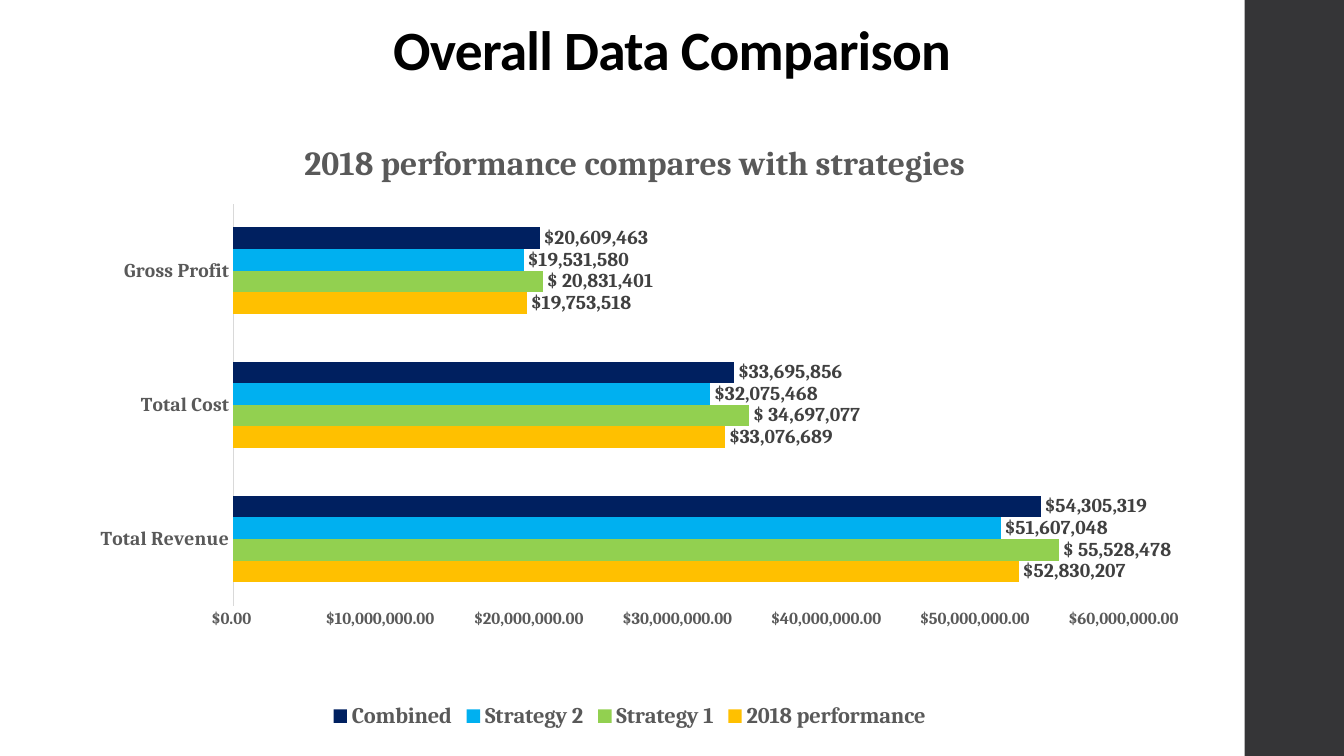
"""Build a slide comparing 2018 performance with three strategies in a bar chart."""
from dataclasses import dataclass

import lxml.etree
import pptx
import pptx.chart.data
import pptx.dml.color
import pptx.enum.chart
import pptx.enum.shapes
import pptx.enum.text
import pptx.oxml.ns
import pptx.util


@dataclass(frozen=True)
class Theme:
    heading_font: str = "Calibri"
    chart_font: str = "Cambria"
    heading: str = "000000"
    text: str = "595959"
    label: str = "404040"
    axis: str = "D9D9D9"
    band: str = "353537"
    heading_size: float = 39.6
    chart_title_size: int = 24
    legend_size: int = 16
    label_size: int = 14
    tick_size: int = 12


THEME = Theme()
WIDTH, HEIGHT = pptx.util.Inches(13.33), pptx.util.Inches(7.5)
CATEGORIES = ["Total Revenue", "Total Cost", "Gross Profit"]
DOLLARS = r"[$$]#,##0_);[Red]\([$$]#,##0\)"
SPACED_DOLLARS = r"[$$-380A]\ #,##0;[Red][$$-380A]\ #,##0"
AXIS_DOLLARS = r"\$#,##0.00_);[Red]\(\$#,##0.00\)"
SERIES = [
    ("2018 performance", [52830207, 33076689, 19753518], "FFC000", DOLLARS),
    ("Strategy 1", [55528478, 34697077, 20831401], "92D050", SPACED_DOLLARS),
    ("Strategy 2", [51607048, 32075468, 19531580], "00B0F0", DOLLARS),
    ("Combined", [54305319, 33695856, 20609463], "002060", DOLLARS),
]


def color(value):
    return pptx.dml.color.RGBColor.from_string(value)


def area(left, top, width, height):
    """Turn shares of the slide into lengths."""
    return (int(WIDTH * left), int(HEIGHT * top),
            int(WIDTH * width), int(HEIGHT * height))


def style_font(font, size, shade, name=THEME.chart_font):
    font.name, font.size, font.bold = name, pptx.util.Pt(size), True
    font.color.rgb = color(shade)


def set_layout(parent, index, **values):
    """Give a chart part a fixed place inside the chart."""
    qn = pptx.oxml.ns.qn
    for old in parent.findall(qn("c:layout")):
        parent.remove(old)
    layout = lxml.etree.Element(qn("c:layout"))
    manual = lxml.etree.SubElement(layout, qn("c:manualLayout"))
    for tag, value in values.items():
        lxml.etree.SubElement(manual, qn(f"c:{tag}")).set("val", str(value))
    parent.insert(index, layout)


def add_band(slide):
    band = slide.shapes.add_shape(
        pptx.enum.shapes.MSO_SHAPE.RECTANGLE, *area(0.926, 0, 0.074, 1))
    band.shadow.inherit = False
    band.fill.solid()
    band.fill.fore_color.rgb = color(THEME.band)
    band.line.fill.background()


def set_title(slide, text):
    title = slide.shapes.title
    title.left, title.top, title.width, title.height = area(0.075, 0.03, 0.85, 0.086)
    frame = title.text_frame
    frame.word_wrap = True
    frame.auto_size = pptx.enum.text.MSO_AUTO_SIZE.NONE
    frame.vertical_anchor = pptx.enum.text.MSO_ANCHOR.BOTTOM
    para = frame.paragraphs[0]
    para.alignment = pptx.enum.text.PP_ALIGN.CENTER
    para.line_spacing = 0.9
    span = para.add_run()
    span.text = text
    style_font(span.font, THEME.heading_size, THEME.heading, THEME.heading_font)
    span.font._element.set("spc", "-50")


def style_axis(axis, size):
    axis.has_major_gridlines = False
    axis.major_tick_mark = pptx.enum.chart.XL_TICK_MARK.NONE
    axis.minor_tick_mark = pptx.enum.chart.XL_TICK_MARK.NONE
    style_font(axis.tick_labels.font, size, THEME.text)


def style_axes(chart):
    style_axis(chart.category_axis, THEME.label_size)
    line = chart.category_axis.format.line
    line.color.rgb = color(THEME.axis)
    line.width = pptx.util.Pt(0.75)
    values = chart.value_axis
    style_axis(values, THEME.tick_size)
    values.minimum_scale, values.maximum_scale = 0, 60_000_000
    values.major_unit = 10_000_000
    values.format.line.fill.background()
    values.tick_labels.number_format = AXIS_DOLLARS
    values.tick_labels.number_format_is_linked = False


def style_series(series, shade, number_format):
    series.format.fill.solid()
    series.format.fill.fore_color.rgb = color(shade)
    series.invert_if_negative = False
    labels = series.data_labels
    labels.show_value = True
    labels.position = pptx.enum.chart.XL_LABEL_POSITION.OUTSIDE_END
    labels.number_format = number_format
    labels.number_format_is_linked = False
    style_font(labels.font, THEME.label_size, THEME.label)


def set_chart_title(chart, text):
    span = chart.chart_title.text_frame.paragraphs[0].add_run()
    span.text = text
    style_font(span.font, THEME.chart_title_size, THEME.text)
    set_layout(chart.chart_title._element, 1,
               xMode="edge", yMode="edge", x=0.21, y=0.04)


def add_legend(chart):
    chart.has_legend = True
    chart.legend.position = pptx.enum.chart.XL_LEGEND_POSITION.BOTTOM
    chart.legend.include_in_layout = False
    style_font(chart.legend.font, THEME.legend_size, THEME.text)


def add_comparison_chart(slide, title):
    data = pptx.chart.data.CategoryChartData()
    data.categories = CATEGORIES
    for name, values, _, number_format in SERIES:
        data.add_series(name, values, number_format)
    chart = slide.shapes.add_chart(
        pptx.enum.chart.XL_CHART_TYPE.BAR_CLUSTERED,
        *area(0.0435, 0.145, 0.85, 0.825), data).chart
    chart.font.name = THEME.chart_font
    chart.font.size = pptx.util.Pt(10)
    chart.font.color.rgb = color(THEME.heading)
    plot = chart.plots[0]
    plot.gap_width, plot.overlap, plot.vary_by_categories = 219, 0, False
    for series, (_, _, shade, number_format) in zip(plot.series, SERIES):
        style_series(series, shade, number_format)
    style_axes(chart)
    set_chart_title(chart, title)
    add_legend(chart)
    set_layout(plot._element.getparent(), 0, layoutTarget="inner", xMode="edge",
               yMode="edge", x=0.153, y=0.151, w=0.781, h=0.645)


def main():
    deck = pptx.Presentation()
    deck.slide_width, deck.slide_height = WIDTH, HEIGHT
    page = deck.slides.add_slide(deck.slide_layouts.get_by_name("Title Only"))
    add_band(page)
    set_title(page, "Overall Data Comparison")
    add_comparison_chart(page, "2018 performance compares with strategies")
    deck.save("out.pptx")


if __name__ == "__main__":
    main()
